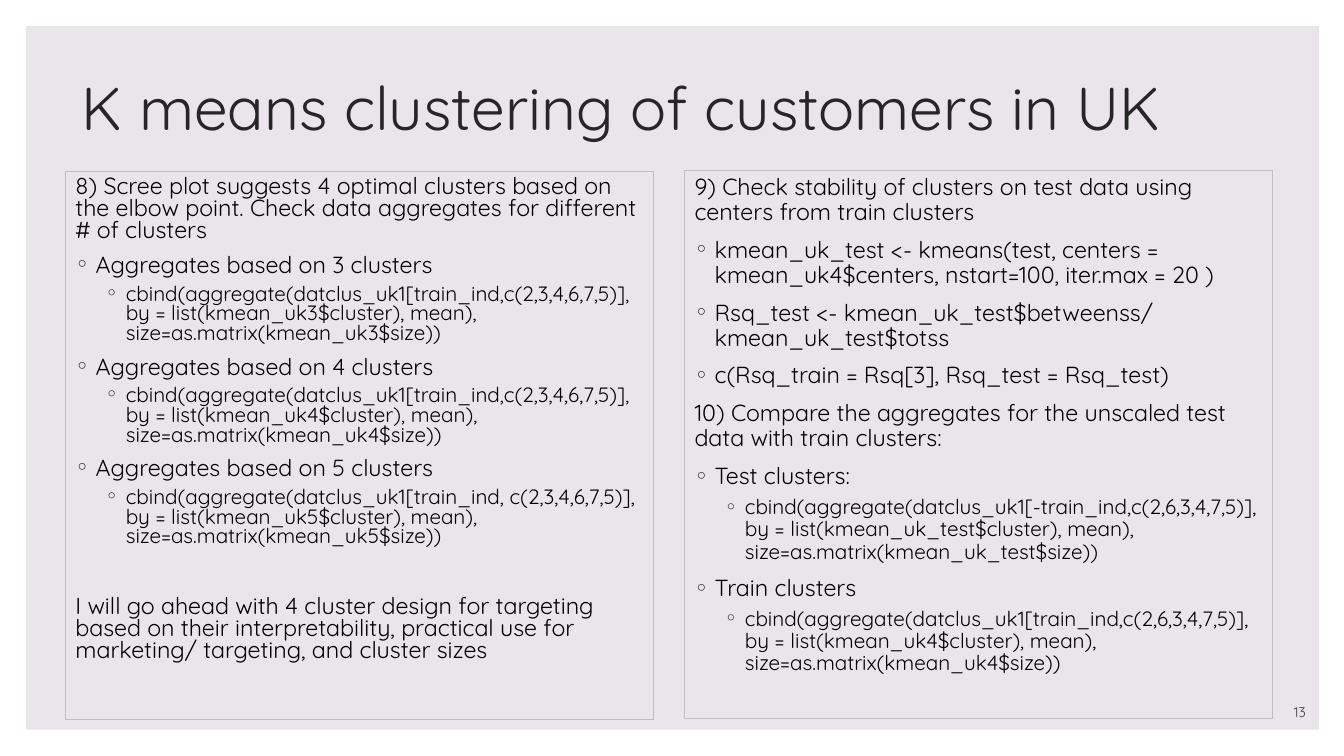
import lxml.etree
import pptx
import pptx.dml.color
import pptx.enum.shapes
import pptx.enum.text
import pptx.oxml.ns
import pptx.util

FONT = "Quicksand"
WIDTH, HEIGHT = 13.33, 7.5
COLUMN_LEFTS = (0.65, 6.79)
COLUMN_WIDTH, COLUMN_HEIGHT = 5.83, 5.44
HEAD, BULLET, CODE = "head", "bullet", "code"
# kind: size, space before, left margin in inches, level
STYLES = {HEAD: (16.6, 9, 0, 0), BULLET: (16.6, 9, 0.2, 0), CODE: (14.8, 5, 0.5, 1)}
HANGING = 0.2


def aggregate_code(rows, columns, model):
    """R call that sums up one cluster model."""
    return (f"cbind(aggregate(datclus_uk1[{rows},{columns}], "
            f"by = list({model}$cluster), mean), size=as.matrix({model}$size))")


def scree_lines():
    lines = [(HEAD, "8) Scree plot suggests 4 optimal clusters based on the elbow point. "
                    "Check data aggregates for different # of clusters")]
    for count in (3, 4, 5):
        columns = " c(2,3,4,6,7,5)" if count == 5 else "c(2,3,4,6,7,5)"
        lines += [(BULLET, f"Aggregates based on {count} clusters"),
                  (CODE, aggregate_code("train_ind", columns, f"kmean_uk{count}"))]
    return lines


CONCLUSION = ("I will go ahead with 4 cluster design for targeting based on their "
              "interpretability, practical use for marketing/ targeting, and cluster sizes")
STABILITY_LINES = [
    (HEAD, "9) Check stability of clusters on test data using centers from train clusters"),
    (BULLET, "kmean_uk_test <- kmeans(test, centers = kmean_uk4$centers, "
             "nstart=100, iter.max = 20 )"),
    (BULLET, "Rsq_test <- kmean_uk_test$betweenss/ kmean_uk_test$totss"),
    (BULLET, "c(Rsq_train = Rsq[3], Rsq_test = Rsq_test)"),
    (HEAD, "10) Compare the aggregates for the unscaled test data with train clusters:"),
    (BULLET, "Test clusters:"),
    (CODE, aggregate_code("-train_ind", "c(2,6,3,4,7,5)", "kmean_uk_test")),
    (BULLET, "Train clusters"),
    (CODE, aggregate_code("train_ind", "c(2,6,3,4,7,5)", "kmean_uk4")),
]


def color(hex_code):
    return pptx.dml.color.RGBColor.from_string(hex_code)


def inches(*lengths):
    return [pptx.util.Inches(length) for length in lengths]


def write(para, text, size, ink="000000", align="LEFT", spacing=1.0, before=0):
    para.alignment = getattr(pptx.enum.text.PP_ALIGN, align)
    para.line_spacing = spacing
    para.space_before = pptx.util.Pt(before)
    span = para.add_run()
    span.text = text
    span.font.name = FONT
    span.font.size = pptx.util.Pt(size)
    span.font.color.rgb = color(ink)


def add_bullet(para, margin):
    qn = pptx.oxml.ns.qn
    properties = para._p.get_or_add_pPr()
    properties.set("marL", str(pptx.util.Inches(margin)))
    properties.set("indent", str(-pptx.util.Inches(HANGING)))
    tint = lxml.etree.SubElement(properties, qn("a:buClr"))
    lxml.etree.SubElement(tint, qn("a:srgbClr"), val="262626")
    lxml.etree.SubElement(properties, qn("a:buFont"), typeface=FONT)
    lxml.etree.SubElement(properties, qn("a:buChar"), char="◦")


def add_panel(slide, margin):
    panel = slide.shapes.add_shape(
        pptx.enum.shapes.MSO_SHAPE.RECTANGLE,
        *inches(margin, margin, WIDTH - 2 * margin + 0.01, HEIGHT - 2 * margin))
    panel.shadow.inherit = False
    panel.fill.solid()
    panel.fill.fore_color.rgb = color("EAE5EB")
    panel.line.fill.background()
    slide.shapes.title.element.addprevious(panel.element)


def set_title(slide, text):
    title = slide.shapes.title
    title.left, title.top, title.width, title.height = inches(0.71, 0.7, 11.46, 0.81)
    frame = title.text_frame
    frame.vertical_anchor = pptx.enum.text.MSO_ANCHOR.MIDDLE
    frame.auto_size = pptx.enum.text.MSO_AUTO_SIZE.NONE
    write(frame.paragraphs[0], text, 43.2, ink="262626", spacing=0.9)


def add_text_box(slide, left, top, width, height, anchor="TOP"):
    box = slide.shapes.add_textbox(*inches(left, top, width, height))
    box.text_frame.word_wrap = True
    box.text_frame.vertical_anchor = getattr(pptx.enum.text.MSO_ANCHOR, anchor)
    return box


def add_column(slide, column, top, lines, spacing):
    box = add_text_box(slide, COLUMN_LEFTS[column], top, COLUMN_WIDTH, COLUMN_HEIGHT)
    box.line.color.rgb = color("BFBFBF")
    box.line.width = pptx.util.Pt(0.75)
    frame = box.text_frame
    for index, (kind, text) in enumerate(lines):
        para = frame.add_paragraph() if index else frame.paragraphs[0]
        size, before, margin, para.level = STYLES[kind]
        write(para, text, size, spacing=spacing, before=before)
        if kind != HEAD:
            add_bullet(para, margin)
    return frame


def main():
    deck = pptx.Presentation()
    deck.slide_width, deck.slide_height = inches(WIDTH, HEIGHT)
    slide = deck.slides.add_slide(deck.slide_layouts.get_by_name("Title Only"))
    add_panel(slide, 0.26)
    set_title(slide, "K means clustering of customers in UK")
    scree = add_column(slide, 0, 1.7, scree_lines(), 0.8)
    write(scree.add_paragraph(), CONCLUSION, 16.6, spacing=0.8, before=34.6)
    add_column(slide, 1, 1.69, STABILITY_LINES, 0.9)
    number = add_text_box(slide, 11.45, 6.9, 1.6, 0.3, anchor="BOTTOM")
    write(number.text_frame.paragraphs[0], "13", 10, ink="404040", align="RIGHT")
    deck.save("out.pptx")


if __name__ == "__main__":
    main()
